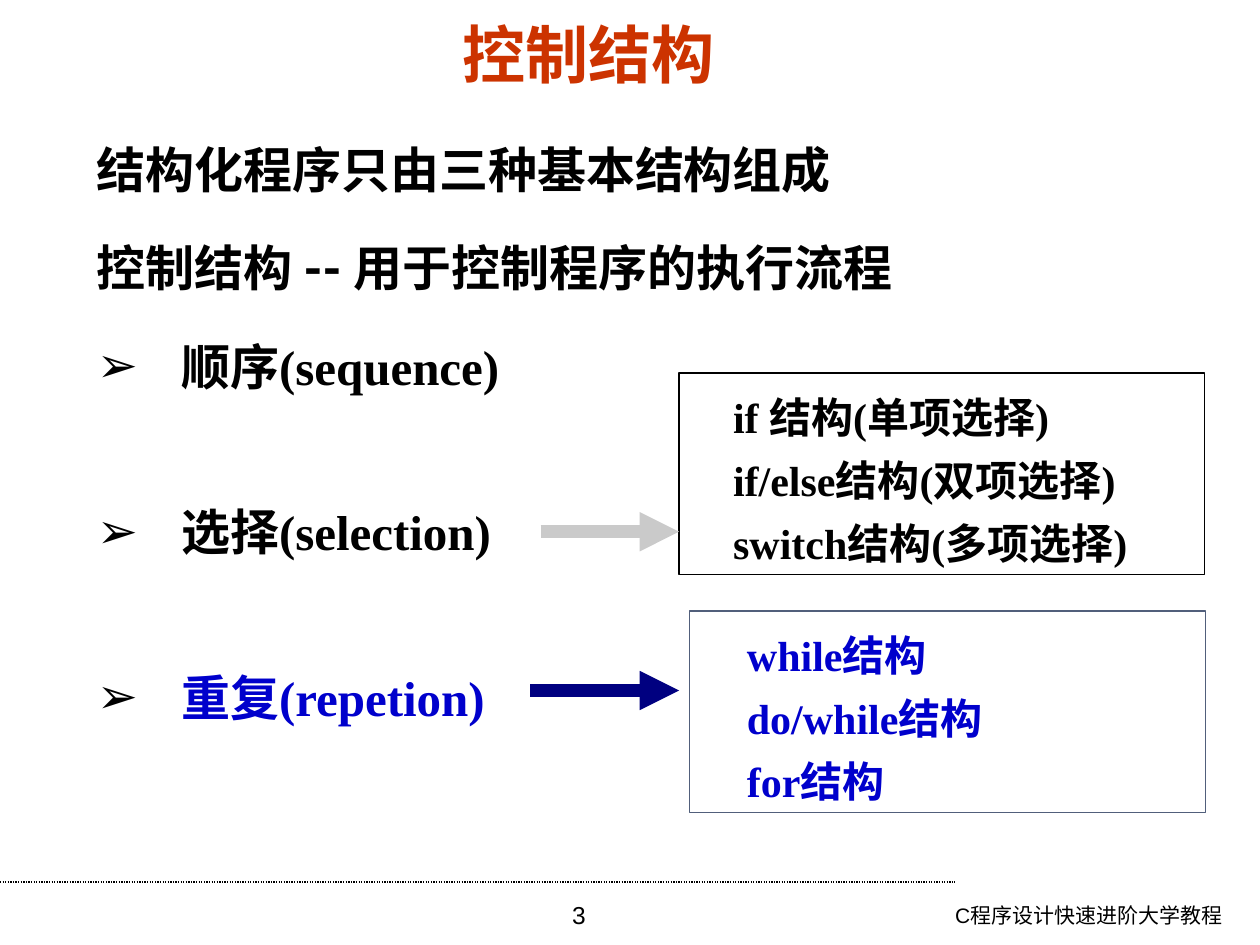
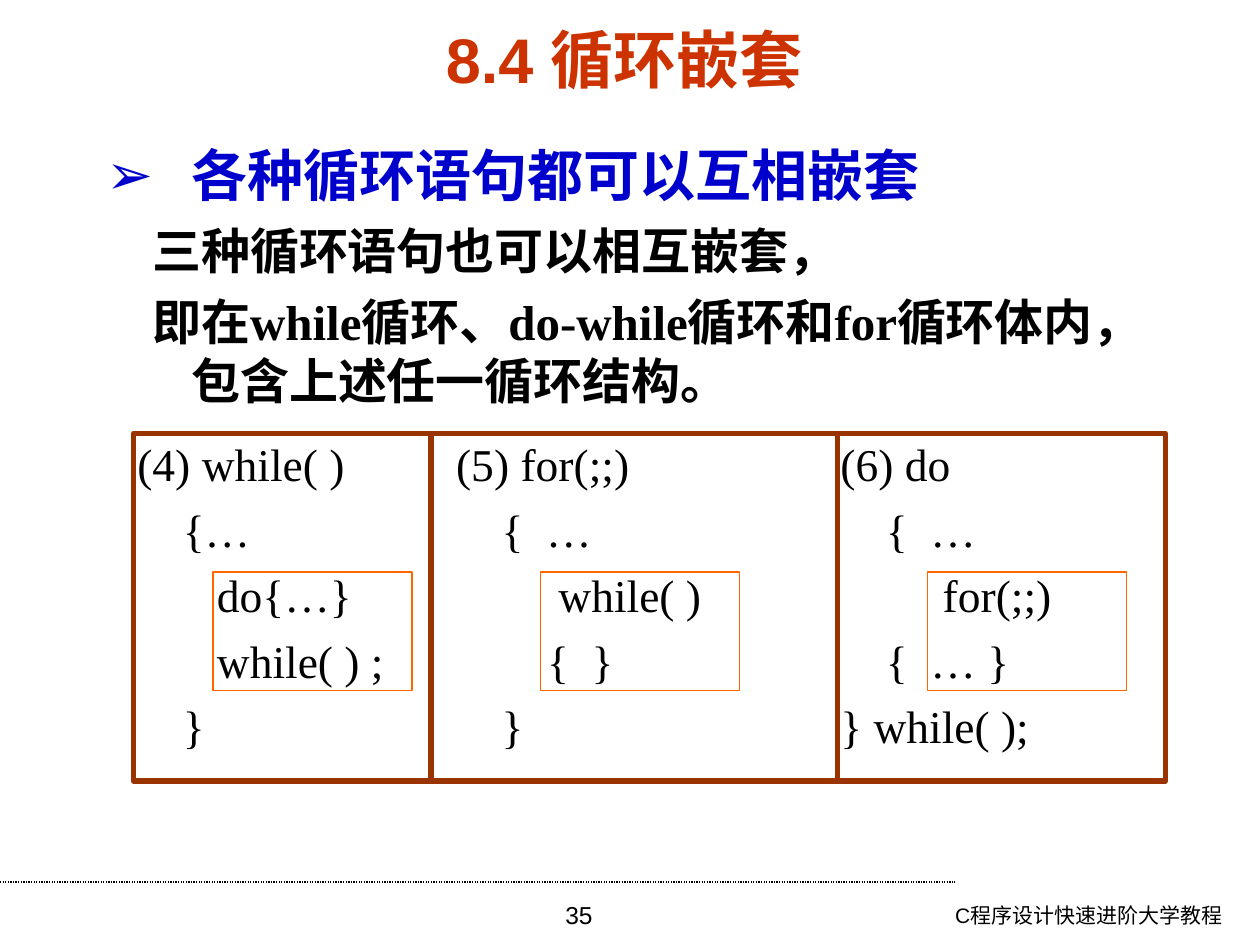
"""Build two lecture slides on C control structures and nested loops."""
import dataclasses

import lxml.etree
import pptx
import pptx.dml.color
import pptx.enum.dml
import pptx.enum.shapes
import pptx.enum.text
import pptx.oxml.ns
import pptx.util

Inches = pptx.util.Inches
Pt = pptx.util.Pt
ALIGN = pptx.enum.text.PP_ALIGN
ANCHOR = pptx.enum.text.MSO_ANCHOR


@dataclasses.dataclass(frozen=True)
class Theme:
    black: str = "000000"
    title_red: str = "CC3300"
    blue: str = "0000CC"
    navy: str = "000080"
    gray: str = "CACACA"
    slate: str = "515F7B"
    brown: str = "993300"
    orange: str = "FF6600"
    sans: str = "Arial"
    plain: str = "Roboto"
    serif: str = "Times New Roman"
    title_size: int = 36
    lead_size: int = 32
    body_size: int = 28
    code_size: int = 26
    box_size: int = 24
    number_size: int = 14
    footer_size: int = 12
    thin: float = 0.75
    frame: float = 3
    arrow: float = 7.5


THEME = Theme()
BULLET = "➢"
FOOTER = "C程序设计快速进阶大学教程"
HANGING = {"left": 0.67, "first": -0.67}

OVERVIEW = {
    "title": ("控制结构", (0, 0, 9.34, 0.84)),
    "number": "3",
    "statements": [
        ("结构化程序只由三种基本结构组成", THEME.sans),
        ("控制结构 -- 用于控制程序的执行流程", THEME.plain),
    ],
    "structures": [
        ("顺序(sequence)", THEME.black, 17.5),
        ("选择(selection)", THEME.black, 56),
        ("重复(repetion)", THEME.blue, 56),
    ],
    "boxes": [
        ((5.39, 2.96, 4.17, 1.6), THEME.black, THEME.black, 0.33,
         ["if 结构(单项选择)", "if/else结构(双项选择)", "switch结构(多项选择)"]),
        ((5.47, 4.85, 4.1, 1.6), THEME.slate, THEME.blue, 0.36,
         ["while结构", "do/while结构", "for结构"]),
    ],
    "arrows": [
        ((4.29, 4.22), (5.39, 4.22), THEME.gray),
        ((4.21, 5.48), (5.39, 5.48), THEME.navy),
    ],
}

NESTING = {
    "title": ("8.4 循环嵌套", (0.43, 0.21, 9.05, 0.5)),
    "number": "35",
    "lead": "各种循环语句都可以互相嵌套",
    "explanation": [
        "三种循环语句也可以相互嵌套，",
        "即在while循环、do-while循环和for循环体内，包含上述任一循环结构。",
    ],
    "columns": [
        {"width": 2.36, "code_left": 1.09, "inner_left": 1.69, "code": [
            "(4) while( )", "    {…", "       do{…}", "       while( ) ;", "    }"]},
        {"width": 3.23, "code_left": 3.62, "inner_left": 4.29, "code": [
            "(5) for(;;)", "    {  …", "         while( )", "        {  }", "    }"]},
        {"width": 2.6, "code_left": 6.67, "inner_left": 7.36, "code": [
            "(6) do", "    {  …", "         for(;;)", "    {  … }", "} while( );"]},
    ],
}


def apply(target, values):
    for name, value in values.items():
        setattr(target, name, value)


def rgb(color):
    return pptx.dml.color.RGBColor.from_string(color)


def line_of(text, size, font, color=THEME.black, bold=True, **layout):
    return {"text": text, "size": size, "font": font, "color": color,
            "bold": bold, **layout}


def set_indent(paragraph, item):
    properties = paragraph._p.get_or_add_pPr()
    properties.set("marL", str(Inches(item.get("left", 0))))
    properties.set("indent", str(Inches(item.get("first", 0))))
    if "bullet" in item:
        qn = pptx.oxml.ns.qn
        bullet_color = lxml.etree.SubElement(properties, qn("a:buClr"))
        lxml.etree.SubElement(bullet_color, qn("a:srgbClr"), val=item["bullet"])
        lxml.etree.SubElement(properties, qn("a:buFont"), typeface=THEME.sans)
        lxml.etree.SubElement(properties, qn("a:buChar"), char=BULLET)


def write(shape, items, align=ALIGN.LEFT, anchor=ANCHOR.TOP, margins=(0.1, 0.05), wrap=True):
    frame = shape.text_frame
    horizontal, vertical = map(Inches, margins)
    apply(frame, {"word_wrap": wrap, "vertical_anchor": anchor,
                  "margin_left": horizontal, "margin_right": horizontal,
                  "margin_top": vertical, "margin_bottom": vertical})
    for index, item in enumerate(items):
        paragraph = frame.add_paragraph() if index else frame.paragraphs[0]
        set_indent(paragraph, item)
        apply(paragraph, {"alignment": align,
                          "line_spacing": item.get("spacing", 1.0),
                          "space_before": Pt(item.get("before", 0) if index else 0)})
        run = paragraph.add_run()
        run.text = item["text"]
        apply(run.font, {"name": item["font"], "size": Pt(item["size"]),
                         "bold": item["bold"]})
        run.font.color.rgb = rgb(item["color"])


def add_text(slide, place, items, **options):
    write(slide.shapes.add_textbox(*map(Inches, place)), items, **options)


def add_box(slide, place, color, width):
    shape = slide.shapes.add_shape(
        pptx.enum.shapes.MSO_SHAPE.RECTANGLE, *map(Inches, place))
    shape.shadow.inherit = False
    shape.fill.background()
    shape.line.color.rgb = rgb(color)
    shape.line.width = Pt(width)
    return shape


def add_line(slide, start, end, color, width):
    connector = slide.shapes.add_connector(
        pptx.enum.shapes.MSO_CONNECTOR.STRAIGHT, *map(Inches, start + end))
    connector.line.color.rgb = rgb(color)
    connector.line.width = Pt(width)
    lxml.etree.SubElement(connector._element.spPr, pptx.oxml.ns.qn("a:effectLst"))
    return connector


def add_arrow(slide, start, end, color):
    connector = add_line(slide, start, end, color, THEME.arrow)
    lxml.etree.SubElement(connector.line._get_or_add_ln(),
                          pptx.oxml.ns.qn("a:tailEnd"), type="triangle")


def add_base(presentation, content):
    slide = presentation.slides.add_slide(presentation.slide_layouts[6])
    rule = add_line(slide, (0, 7), (7.58, 7), THEME.black, THEME.thin)
    rule.line.dash_style = pptx.enum.dml.MSO_LINE.ROUND_DOT
    add_text(slide, (6.57, 7.11, 3.23, 0.39),
             [line_of(FOOTER, THEME.footer_size, THEME.sans, bold=False)], align=ALIGN.RIGHT)
    add_text(slide, (3.43, 7.09, 2.33, 0.41),
             [line_of(content["number"], THEME.number_size, THEME.sans, bold=False)],
             align=ALIGN.CENTER)
    title, place = content["title"]
    add_text(slide, place, [line_of(title, THEME.title_size, THEME.sans, THEME.title_red)],
             align=ALIGN.CENTER, anchor=ANCHOR.MIDDLE)
    return slide


def build_overview(presentation):
    slide = add_base(presentation, OVERVIEW)
    statements = [line_of(text, THEME.body_size, font, spacing=1.15, before=17.5)
                  for text, font in OVERVIEW["statements"]]
    structures = [line_of(text, THEME.body_size, THEME.serif, color, spacing=1.15,
                          before=before, bullet=THEME.black, **HANGING)
                  for text, color, before in OVERVIEW["structures"]]
    add_text(slide, (0.67, 0.99, 8.9, 4.83), statements + structures)
    for place, border, color, left, lines in OVERVIEW["boxes"]:
        write(add_box(slide, place, border, THEME.thin),
              [line_of(text, THEME.box_size, THEME.serif, color, spacing=1.25, left=left)
               for text in lines])
    for arrow in OVERVIEW["arrows"]:
        add_arrow(slide, *arrow)


def build_nesting(presentation):
    slide = add_base(presentation, NESTING)
    lead = line_of(NESTING["lead"], THEME.lead_size, THEME.sans, THEME.blue,
                   bullet=THEME.blue, **HANGING)
    explanation = [line_of(text, THEME.body_size, THEME.serif, before=7, left=0.67, first=-0.31)
                   for text in NESTING["explanation"]]
    add_text(slide, (0.75, 1.07, 8.4, 2.3), [lead] + explanation)
    left, top, height = 1.06, 3.44, 2.76
    for column in NESTING["columns"]:
        add_box(slide, (left, top, column["width"], height), THEME.brown, THEME.frame)
        add_box(slide, (column["inner_left"], top + 1.1, 1.58, 0.94),
                THEME.orange, THEME.thin)
        add_text(slide, (column["code_left"], top + 0.02, 2.3, 2.65),
                 [line_of(text, THEME.code_size, THEME.serif, bold=False, before=6.3)
                  for text in column["code"]], margins=(0, 0), wrap=False)
        left += column["width"]


def main():
    presentation = pptx.Presentation()
    apply(presentation, {"slide_width": Inches(10), "slide_height": Inches(7.5)})
    build_overview(presentation)
    build_nesting(presentation)
    presentation.save("out.pptx")


if __name__ == "__main__":
    main()
